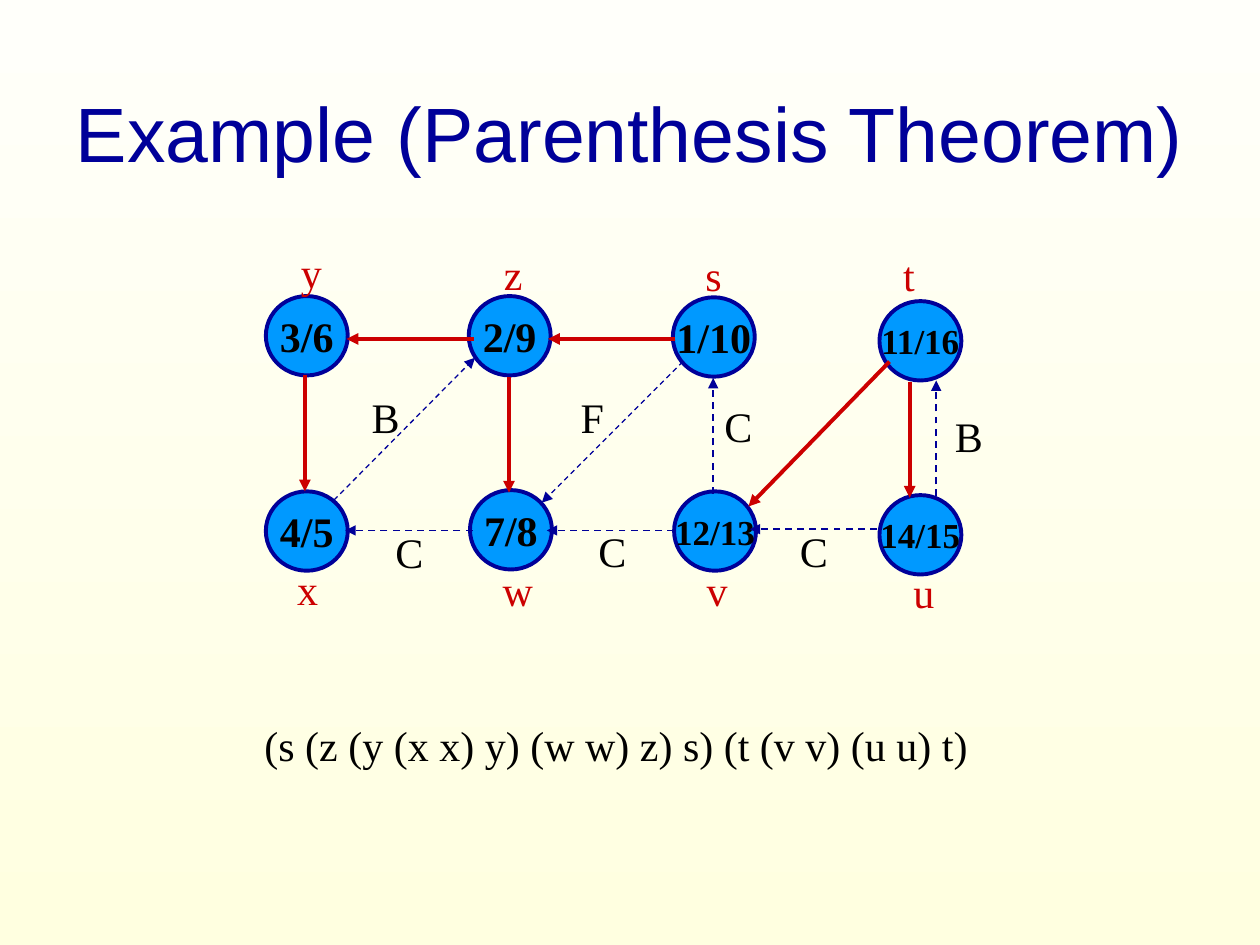
from pptx import Presentation
from pptx.dml.color import RGBColor
from pptx.enum.dml import MSO_LINE
from pptx.enum.shapes import MSO_CONNECTOR, MSO_SHAPE
from pptx.enum.text import MSO_ANCHOR, PP_ALIGN
from pptx.oxml.ns import qn
from pptx.util import Pt
from lxml import etree

DASH = MSO_LINE.DASH
STRAIGHT = MSO_CONNECTOR.STRAIGHT
ELLIPSE = MSO_SHAPE.OVAL
MIDDLE, TOP = MSO_ANCHOR.MIDDLE, MSO_ANCHOR.TOP
CENTER, LEFT = PP_ALIGN.CENTER, PP_ALIGN.LEFT

EMU_PER_PX = 9144  # 100 px to the inch
NAVY, BLUE, RED, BLACK = "000099", "0099FF", "CC0000", "000000"
SERIF, SANS = "Times New Roman", "Arial"
NODE_SIZE = (65, 63)
LABEL_HEIGHT = 50
LABEL_WIDTHS = {"t": 29, "s": 33, "z": 35, "w": 44, "F": 38, "B": 42, "C": 42}
DEFAULT_LABEL_WIDTH = 36

TITLE = "Example (Parenthesis Theorem)"
PARENTHESES = "(s (z (y (x x) y) (w w) z) s) (t (v v) (u u) t)"

# discovery/finish times, text size, left, top
NODES = [
    ("3/6", 24, 211, 235), ("2/9", 24, 372, 235),
    ("1/10", 24, 534, 236), ("11/16", 20, 698, 239),
    ("4/5", 24, 211, 390), ("7/8", 24, 373, 389),
    ("12/13", 20, 535, 390), ("14/15", 20, 698, 393),
]
# name, left, top
NODE_NAMES = [
    ("y", 229, 191), ("z", 390, 192), ("s", 550, 193), ("t", 707, 193),
    ("x", 226, 442), ("w", 389, 443), ("v", 551, 443), ("u", 715, 445),
]
EDGE_TYPES = [
    ("B", 285, 306), ("F", 451, 306), ("C", 565, 313), ("B", 748, 321),
    ("C", 304, 413), ("C", 465, 412), ("C", 625, 412),
]
# start x, start y, tip x, tip y
TREE_EDGES = [
    (376, 269, 275, 269), (536, 269, 435, 269), (242, 298, 242, 390),
    (404, 299, 404, 391), (722, 303, 722, 395), (706, 287, 594, 402),
]
STRAIGHT_OTHER_EDGES = [
    (375, 421, 274, 421), (535, 421, 434, 421), (696, 420, 595, 420),
    (566, 392, 566, 300), (743, 394, 743, 302),
]
DIAGONAL_OTHER_EDGES = [(265, 397, 377, 284), (542, 287, 430, 399)]


def px(*lengths):
    return [length * EMU_PER_PX for length in lengths]


def color(hex_string):
    return RGBColor.from_string(hex_string)


def write(shape, text, size, ink, font=SERIF, bold=False, align=LEFT, anchor=TOP):
    frame = shape.text_frame
    frame.word_wrap = False
    frame.vertical_anchor = anchor
    para = frame.paragraphs[0]
    para.text = text
    para.alignment = align
    para.font.name = font
    para.font.size = Pt(size)
    para.font.bold = bold
    para.font.color.rgb = color(ink)


def add_text(page, box, *args, **style):
    write(page.shapes.add_textbox(*px(*box)), *args, **style)


def add_node(page, times, size, left, top):
    node = page.shapes.add_shape(ELLIPSE, *px(left, top, *NODE_SIZE))
    node.shadow.inherit = False
    node.fill.solid()
    node.fill.fore_color.rgb = color(BLUE)
    node.line.color.rgb = color(NAVY)
    node.line.width = Pt(2.25)
    write(node, times, size, BLACK, bold=True, align=CENTER, anchor=MIDDLE)


def add_arrow(page, ends, ink, width, dash=None):
    arrow = page.shapes.add_connector(STRAIGHT, *px(*ends))
    arrow.line.color.rgb = color(ink)
    arrow.line.width = Pt(width)
    if dash:
        arrow.line.dash_style = dash
    properties = arrow.element.spPr
    etree.SubElement(properties.find(qn("a:ln")), qn("a:tailEnd"), type="triangle")
    etree.SubElement(properties, qn("a:effectLst"))


def paint_background(page):
    fill = page.background.fill
    fill.gradient()
    fill.gradient_angle = 270
    for stop, shade in zip(fill.gradient_stops, ("FFFFFA", "FFFFE0")):
        stop.color.rgb = color(shade)


def main():
    deck = Presentation()
    deck.slide_width, deck.slide_height = px(1000, 750)
    page = deck.slides.add_slide(deck.slide_layouts[6])
    paint_background(page)

    add_text(page, (33, 42, 934, 125), TITLE, 44, NAVY,
             font=SANS, align=CENTER, anchor=MIDDLE)
    for node in NODES:
        add_node(page, *node)
    for edges, ink, width, dash in (
        (TREE_EDGES, RED, 2.25, None),
        (STRAIGHT_OTHER_EDGES, NAVY, 1, DASH),
        (DIAGONAL_OTHER_EDGES, NAVY, 0.75, DASH),
    ):
        for ends in edges:
            add_arrow(page, ends, ink, width, dash)
    for labels, ink in ((NODE_NAMES, RED), (EDGE_TYPES, BLACK)):
        for letter, left, top in labels:
            width = LABEL_WIDTHS.get(letter, DEFAULT_LABEL_WIDTH)
            add_text(page, (left, top, width, LABEL_HEIGHT), letter, 24, ink)
    add_text(page, (200, 566, 578, LABEL_HEIGHT), PARENTHESES, 24, BLACK)
    deck.save("out.pptx")


if __name__ == "__main__":
    main()
